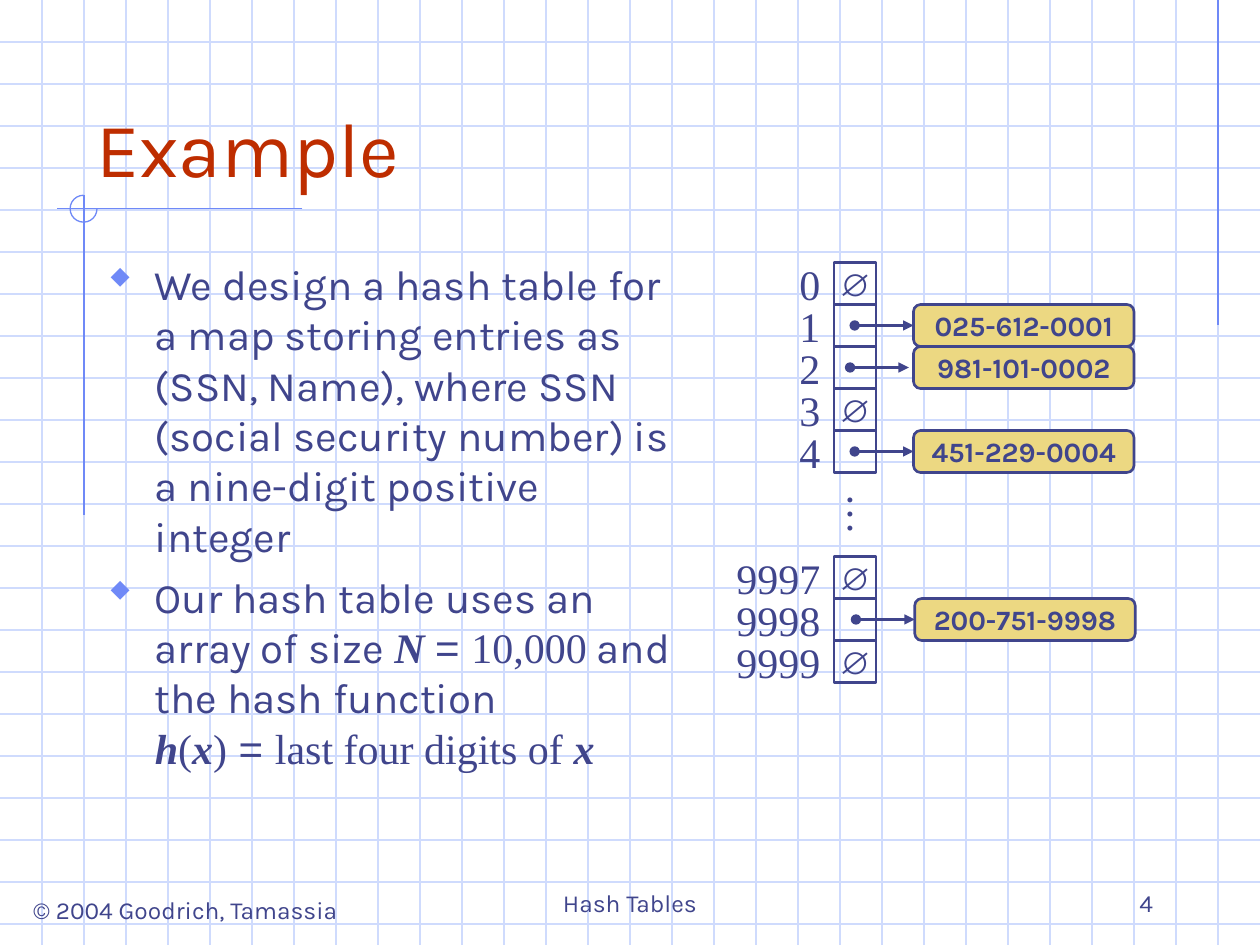
from lxml import etree
from pptx import Presentation
from pptx.dml.color import RGBColor
from pptx.enum.shapes import MSO_CONNECTOR, MSO_SHAPE
from pptx.enum.text import MSO_ANCHOR, MSO_AUTO_SIZE, PP_ALIGN
from pptx.oxml.ns import qn
from pptx.util import Inches, Pt

INK = RGBColor(0x40, 0x45, 0x8C)
RED = RGBColor(0xBE, 0x2D, 0x00)
BLUE = RGBColor(0x6F, 0x89, 0xF7)
PALE = RGBColor(0xCF, 0xDB, 0xFD)
GOLD = RGBColor(0xEC, 0xD8, 0x82)
SANS, SERIF, PLAIN = "Karla", "Times New Roman", "Arial"
COLS, ROWS = 30, 22.5  # squares of a third of an inch


def sub(parent, tag, **attrs):
    return etree.SubElement(parent, qn(tag), **attrs)


class Sheet:
    """Draws on one slide; lengths are squares of the paper grid."""

    def __init__(self, deck):
        self.slide = deck.slides.add_slide(deck.slide_layouts[6])
        self.shapes = self.slide.shapes

    def at(self, *sizes):
        return [Inches(size / 3) for size in sizes]

    def style(self, run, size, font=SANS, color=INK, bold=False, slant=False):
        run.font.size, run.font.name = Pt(size), font
        run.font.color.rgb = color
        run.font.bold, run.font.italic = bold, slant

    def fill(self, shape, text, size, font=SANS, color=INK, bold=False,
             align=PP_ALIGN.CENTER, anchor=MSO_ANCHOR.TOP, wrap=False):
        frame = shape.text_frame
        frame.text = text
        frame.word_wrap, frame.vertical_anchor = wrap, anchor
        par = frame.paragraphs[0]
        par.alignment = align
        for run in par.runs:
            self.style(run, size, font, color, bold)

    def text(self, box, text, size, wrap=False, **look):
        shape = self.shapes.add_textbox(*self.at(*box))
        self.fill(shape, text, size, wrap=wrap, **look)
        if not wrap:
            shape.text_frame.auto_size = MSO_AUTO_SIZE.SHAPE_TO_FIT_TEXT
        return shape

    def line(self, x1, y1, x2, y2, color=BLUE, width=0.75, arrow=False):
        link = self.shapes.add_connector(
            MSO_CONNECTOR.STRAIGHT, *self.at(x1, y1, x2, y2))
        link.line.color.rgb, link.line.width = color, Pt(width)
        props = link._element.spPr
        if arrow:
            stroke = props.find(qn("a:ln"))
            sub(stroke, "a:headEnd", type="oval")
            sub(stroke, "a:tailEnd", type="triangle")
        sub(props, "a:effectLst")

    def shape(self, kind, box, paint=None, color=INK, width=1.5):
        shape = self.shapes.add_shape(kind, *self.at(*box))
        shape.shadow.inherit = False
        if paint is None:
            shape.fill.background()
        else:
            shape.fill.solid()
            shape.fill.fore_color.rgb = paint
        shape.line.color.rgb, shape.line.width = color, Pt(width)
        return shape

    def bullets(self, box, items, size):
        frame = self.shapes.add_textbox(*self.at(*box)).text_frame
        frame.word_wrap = True
        for i, parts in enumerate(items):
            par = frame.add_paragraph() if i else frame.paragraphs[0]
            par.space_before = Pt(6)
            props = par._p.get_or_add_pPr()
            props.set("marL", str(Inches(0.38)))
            props.set("indent", str(-Inches(0.38)))
            sub(sub(props, "a:buClr"), "a:srgbClr", val=str(BLUE))
            sub(props, "a:buSzPct", val="110000")
            # "w" is the diamond of this symbol font
            sub(props, "a:buFont", typeface="Wingdings",
                pitchFamily="2", charset="2")
            sub(props, "a:buChar", char="w")
            for words, font, strong in parts:
                run = par.add_run()
                run.text = words.rstrip("\n")
                self.style(run, size, font, bold=strong, slant=strong)
                if words.endswith("\n"):
                    par.add_line_break()

    def slot(self, row, label, key, tail, shift):
        """One array cell with its index and, if used, its entry."""
        top = 6.25 + row
        cell = self.shape(MSO_SHAPE.RECTANGLE, (19.86, top, 1, 1))
        wide = 0.65 + 0.5 * len(label)
        self.text((19.86 - wide, top - 0.25, wide, 1.5), label, 24, font=SERIF)
        if not key:
            self.fill(cell, "∅", 18, font=PLAIN, anchor=MSO_ANCHOR.MIDDLE)
            return
        entry = self.shape(MSO_SHAPE.ROUNDED_RECTANGLE,
                           (21.75 + shift, top, 5.25, 1), GOLD)
        self.fill(entry, key, 16, bold=True, anchor=MSO_ANCHOR.MIDDLE)
        self.line(20.35 + tail, top + 0.5, 21.75 + tail, top + 0.5,
                  INK, 1.5, arrow=True)


# Row, index, key, shift of the arrow, shift of the entry
SLOTS = [
    (0, "0", "", 0, 0),
    (1, "1", "025-612-0001", 0, 0),
    (2, "2", "981-101-0002", -0.11, 0),
    (3, "3", "", 0, 0),
    (4, "4", "451-229-0004", 0, 0),
    (7, "9997", "", 0, 0),
    (8, "9998", "200-751-9998", 0.03, 0.03),
    (9, "9999", "", 0, 0),
]

# Words, font, bold italic
POINTS = [
    [("We design a hash table for a map storing entries as (SSN, Name), "
      "where SSN (social security number) is a nine-digit positive integer",
      SANS, False)],
    [("Our hash table uses an array of size ", SANS, False),
     ("N ", SERIF, True),
     ("= ", PLAIN, False),
     ("10,000", SERIF, False),
     (" and the hash function\n", SANS, False),
     ("h", SERIF, True),
     ("(", SERIF, False),
     ("x", SERIF, True),
     (")", SERIF, False),
     (" = ", PLAIN, False),
     ("last four digits of ", SERIF, False),
     ("x", SERIF, True)],
]


def main():
    deck = Presentation()
    deck.slide_width, deck.slide_height = Inches(10), Inches(7.5)
    sheet = Sheet(deck)

    # Squared paper
    for row in range(1, int(ROWS) + 1):
        sheet.line(0, row, COLS, row, PALE)
    for col in range(1, COLS):
        sheet.line(col, 0, col, ROWS, PALE)

    # Ruled accents and the open circle
    sheet.line(29, 0, 29, 7.75)
    sheet.line(7.2, 4.97, 1.35, 4.97)
    sheet.line(2, 4.65, 2, 12.27)
    arc = sheet.shape(MSO_SHAPE.ARC, (1.67, 4.65, 0.64, 0.64),
                      color=BLUE, width=0.75)
    arc.adjustments[0], arc.adjustments[1] = 0, 162  # 270 degrees

    # Title and points
    sheet.text((2, 1, 25.5, 3.75), "Example", 44, color=RED, wrap=True,
               align=PP_ALIGN.LEFT, anchor=MSO_ANCHOR.BOTTOM)
    sheet.bullets((2.25, 6, 14.25, 14.5), POINTS, 24)

    # Hash table
    for slot in SLOTS:
        sheet.slot(*slot)
    dots = sheet.text((19.8, 11.5, 1.58, 1.5), "…", 24, font=SERIF)
    dots.rotation = 90

    # Footer
    sheet.text((0.35, 21.17, 8.13, 1.02), "© 2004 Goodrich, Tamassia", 14)
    sheet.text((10.25, 20.5, 9.5, 1.5), "Hash Tables", 14, wrap=True,
               anchor=MSO_ANCHOR.BOTTOM)
    sheet.text((21.5, 20.5, 6.25, 1.5), "4", 14, wrap=True,
               align=PP_ALIGN.RIGHT, anchor=MSO_ANCHOR.BOTTOM)

    deck.save("out.pptx")


if __name__ == "__main__":
    main()
